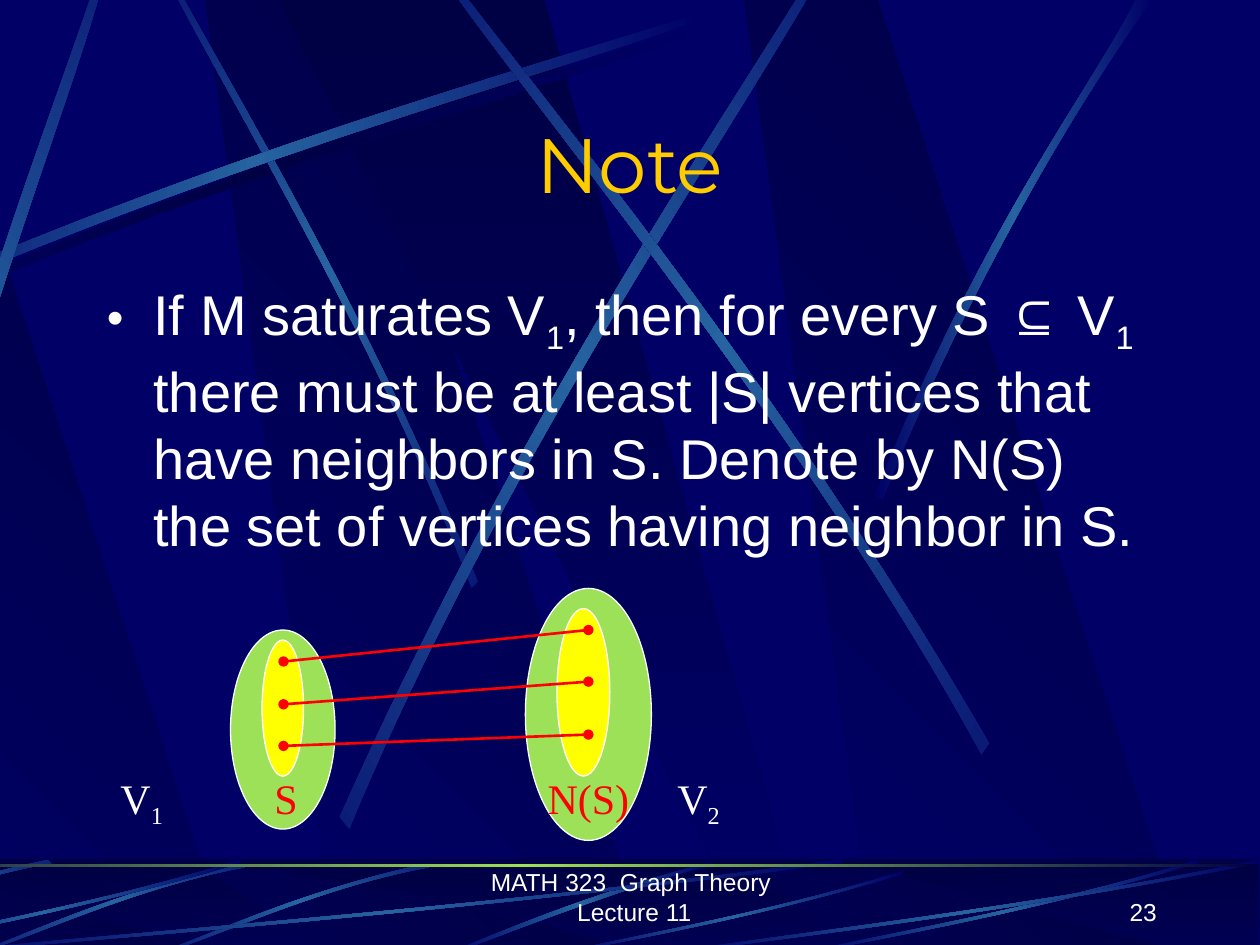
from lxml import etree
from pptx import Presentation
from pptx.dml.color import RGBColor
from pptx.enum.shapes import MSO_CONNECTOR, MSO_SHAPE
from pptx.enum.text import MSO_ANCHOR, PP_ALIGN
from pptx.oxml.ns import qn
from pptx.util import Inches, Pt

OVAL, RECT, STRAIGHT = MSO_SHAPE.OVAL, MSO_SHAPE.RECTANGLE, MSO_CONNECTOR.STRAIGHT
LEFT, CENTER, RIGHT = PP_ALIGN.LEFT, PP_ALIGN.CENTER, PP_ALIGN.RIGHT
TOP, MIDDLE, BOTTOM = MSO_ANCHOR.TOP, MSO_ANCHOR.MIDDLE, MSO_ANCHOR.BOTTOM

NAVY = RGBColor(0x00, 0x00, 0x66)
DARK = RGBColor(0x00, 0x00, 0x44)
STEEL = RGBColor(0x26, 0x63, 0xA0)
GREEN = RGBColor(0x9C, 0xE1, 0x57)
YELLOW = RGBColor(0xFF, 0xFF, 0x00)
GOLD = RGBColor(0xFF, 0xCC, 0x00)
RED = RGBColor(0xFF, 0x00, 0x00)
WHITE = RGBColor(0xFF, 0xFF, 0xFF)

# Outlines in a unit box; a ray is two curves of four control points each
BAND = [(0.29, 1), (1, 1), (0.3, 0), (0, 0)]
WEDGE = [(0, 0), (0.9, 1), (1, 1), (0.5, 0)]
RAY = [(0, 0.96), (0.43, 0.43), (0.83, 0.15), (1, 0),
       (1, 0.02), (0.83, 0.19), (0.38, 0.5), (0, 1)]
TALL_RAY = [(0, 0.99), (0.4, 0.44), (0.79, 0.17), (0.94, 0),
            (1, 0), (0.52, 0.37), (0.16, 0.81), (0.03, 1)]
LOW_RAY = [(1, 0), (0.49, 0.38), (0.16, 0.82), (0, 0.99),
           (0.02, 1), (0.23, 0.77), (0.69, 0.25), (1, 0.04)]


def add_child(parent, tag, **attributes):
    return etree.SubElement(parent, qn(tag), attributes)


def bend(shape):
    """Turn the two long sides of a ray into Bezier curves."""
    lines = list(shape._element.spPr.iter(qn("a:lnTo")))
    for first in (0, 4):
        side = lines[first:first + 3]
        curve = etree.Element(qn("a:cubicBezTo"))
        side[0].addprevious(curve)
        for line in side:
            curve.append(line[0])
            line.getparent().remove(line)


def add_text(para, text, font="Arial", size=14, color=WHITE, baseline=0):
    span = para.add_run()
    span.text = text
    span.font.name = font
    span.font.size = Pt(size)
    span.font.color.rgb = color
    if baseline:
        span.font._element.set("baseline", str(baseline * 1000))


class SlideBuilder:
    font, label_font, title_font = "Arial", "Times New Roman", "Montserrat"
    subscript = -25

    def __init__(self, page):
        self.page = page

    def gradient(self, shape, colors, angle):
        shape.shadow.inherit = False
        shape.line.fill.background()
        shape.fill.gradient()
        fill = shape._element.spPr.find(qn("a:gradFill"))
        for child in list(fill):
            fill.remove(child)
        stops = add_child(fill, "a:gsLst")
        for index, color in enumerate(colors):
            position = 100000 * index // (len(colors) - 1)
            stop = add_child(stops, "a:gs", pos=str(position))
            add_child(stop, "a:srgbClr", val=str(color))
        add_child(fill, "a:lin", ang=str(angle * 60000), scaled="1")

    def outline(self, points, left, top, width, height, colors, angle=0):
        spots = [(Inches(left + x * width), Inches(top + y * height)) for x, y in points]
        builder = self.page.shapes.build_freeform(*spots[0])
        builder.add_line_segments(spots[1:])
        shape = builder.convert_to_shape()
        self.gradient(shape, colors, angle)
        return shape

    def ray(self, left, top, width, height, turn=0, flip_x=False, flip_y=False,
            form=RAY, glow=STEEL):
        points = [(1 - x if flip_x else x, 1 - y if flip_y else y) for x, y in form]
        shape = self.outline(points, left, top, width, height, (NAVY, glow, NAVY))
        bend(shape)
        shape.rotation = turn

    def bands(self, top, height):
        for left in (1.63, -1.69, 5.91):
            self.outline(BAND, left, top, 3.52, height, (NAVY, DARK), 315)
        self.outline(WEDGE, 2.21, top, 4.22, height, (DARK, NAVY), 90)

    def bar(self, top, height):
        return self.page.shapes.add_shape(
            RECT, Inches(-1.69), Inches(top), Inches(11.68), Inches(height))

    def veil(self, top, height):
        shape = self.bar(top, height)
        shape.shadow.inherit = False
        shape.line.fill.background()
        shape.fill.solid()
        shape.fill.fore_color.rgb = DARK
        add_child(shape._element.spPr.find(".//" + qn("a:srgbClr")), "a:alpha", val="50000")

    def ellipse(self, left, top, width, height, color):
        shape = self.page.shapes.add_shape(
            OVAL, Inches(left), Inches(top), Inches(width), Inches(height))
        shape.shadow.inherit = False
        shape.fill.solid()
        shape.fill.fore_color.rgb = color
        shape.line.color.rgb = WHITE
        shape.line.width = Pt(0.75)

    def edge(self, start, end):
        line = self.page.shapes.add_connector(
            STRAIGHT, *(Inches(value) for value in start + end))
        line.line.color.rgb = RED
        line.line.width = Pt(1.5)
        stroke = line.line._get_or_add_ln()
        add_child(stroke, "a:headEnd", type="oval")
        add_child(stroke, "a:tailEnd", type="oval")
        add_child(line._element.spPr, "a:effectLst")

    def text(self, left, top, width, height, parts, align=CENTER, anchor=TOP,
             bullet=False, **style):
        """Parts alternate between normal text and subscript."""
        box = self.page.shapes.add_textbox(
            Inches(left), Inches(top), Inches(width), Inches(height))
        frame = box.text_frame
        frame.word_wrap = True
        frame.vertical_anchor = anchor
        para = frame.paragraphs[0]
        para.alignment = align
        if bullet:
            layout = para._p.get_or_add_pPr()
            layout.set("marL", str(Inches(0.37)))
            layout.set("indent", str(Inches(-0.37)))
            add_child(add_child(layout, "a:buClr"), "a:srgbClr", val=str(WHITE))
            add_child(layout, "a:buSzPct", val="85000")
            add_child(layout, "a:buFont", typeface=self.font)
            add_child(layout, "a:buChar", char="•")
        for index, part in enumerate(parts):
            add_text(para, part, baseline=self.subscript * (index % 2), **style)

    def label(self, left, width, parts, color):
        self.text(left, 6.08, width, 0.53, parts, font=self.label_font, size=24, color=color)


def main():
    deck = Presentation()
    deck.slide_width, deck.slide_height = Inches(10), Inches(7.5)
    page = deck.slides.add_slide(deck.slide_layouts[6])
    page.background.fill.solid()
    page.background.fill.fore_color.rgb = NAVY
    slide = SlideBuilder(page)

    # Background bands and crossing rays
    slide.bands(0, 7.55)
    slide.ray(-1.45, 0.17, 7.11, 2.68, glow=DARK)
    slide.ray(-0.04, 1.34, 5.16, 1.76, turn=45, flip_x=True)
    slide.ray(-1.52, 0.09, 7.11, 2.68)
    slide.ray(-3.18, 1.6, 6.11, 3.11, turn=312)
    slide.ray(1.01, 1.6, 7.29, 3.02, turn=321)
    slide.ray(2.09, 1.51, 7.11, 2.68, turn=35, flip_x=True)
    slide.ray(6.94, -0.01, 2.21, 3.98, form=TALL_RAY)

    # Footer strip
    slide.gradient(slide.bar(6.82, 0.75), (DARK, NAVY), 90)
    slide.bands(6.91, 0.66)
    slide.veil(6.82, 0.75)
    slide.ray(3.55, 6.84, 2.1, 0.73, form=LOW_RAY)
    for left, top, width in ((1.48, 6.71, 1.85), (0.02, 6.71, 1.85), (-1.47, 6.66, 1.8)):
        slide.ray(left, top, width, 0.97, turn=315, flip_x=True)
    for left, top, width in ((-0.52, 6.82, 7.2), (-1.2, 6.82, 3.11), (4.47, 6.91, 2.7),
                             (6.4, 6.82, 3.11), (5.33, 6.82, 4.67)):
        slide.ray(left, top, width, 7.57 - top, flip_x=True, flip_y=True)
    slide.gradient(slide.bar(6.86, 0.02), (DARK, GREEN, DARK), 0)
    slide.text(3.45, 6.9, 3.17, 0.5, ["MATH 323  Graph Theory  Lecture 11"], anchor=BOTTOM)
    slide.text(7.2, 6.9, 2.08, 0.5, ["23"], align=RIGHT, anchor=BOTTOM)

    # Title and statement
    slide.text(0.75, 0.88, 8.5, 0.83, ["Note"], anchor=MIDDLE,
               font=slide.title_font, size=44, color=GOLD)
    slide.text(0.75, 2.17, 8.5, 2.42,
               ["If M saturates V", "1", ", then for every S ⊆ V", "1",
                " there must be at least |S| vertices that have neighbors in S. "
                "Denote by N(S) the set of vertices having neighbor in S."],
               align=LEFT, bullet=True, size=32)

    # Matching diagram
    slide.ellipse(1.83, 5, 0.83, 1.58, GREEN)
    slide.ellipse(2.08, 5.08, 0.33, 1.08, YELLOW)
    slide.ellipse(4.17, 4.67, 1, 2, GREEN)
    slide.ellipse(4.42, 4.83, 0.42, 1.33, YELLOW)
    slide.label(0.75, 0.75, ["V", "1"], WHITE)
    slide.label(5.17, 0.75, ["V", "2"], WHITE)
    for start, end in ((5.25, 5), (5.59, 5.41), (5.92, 5.83)):
        slide.edge((2.25, start), (4.67, end))
    slide.label(2.08, 0.33, ["S"], RED)
    slide.label(4.17, 1, ["N(S)"], RED)

    deck.save("out.pptx")


if __name__ == "__main__":
    main()
